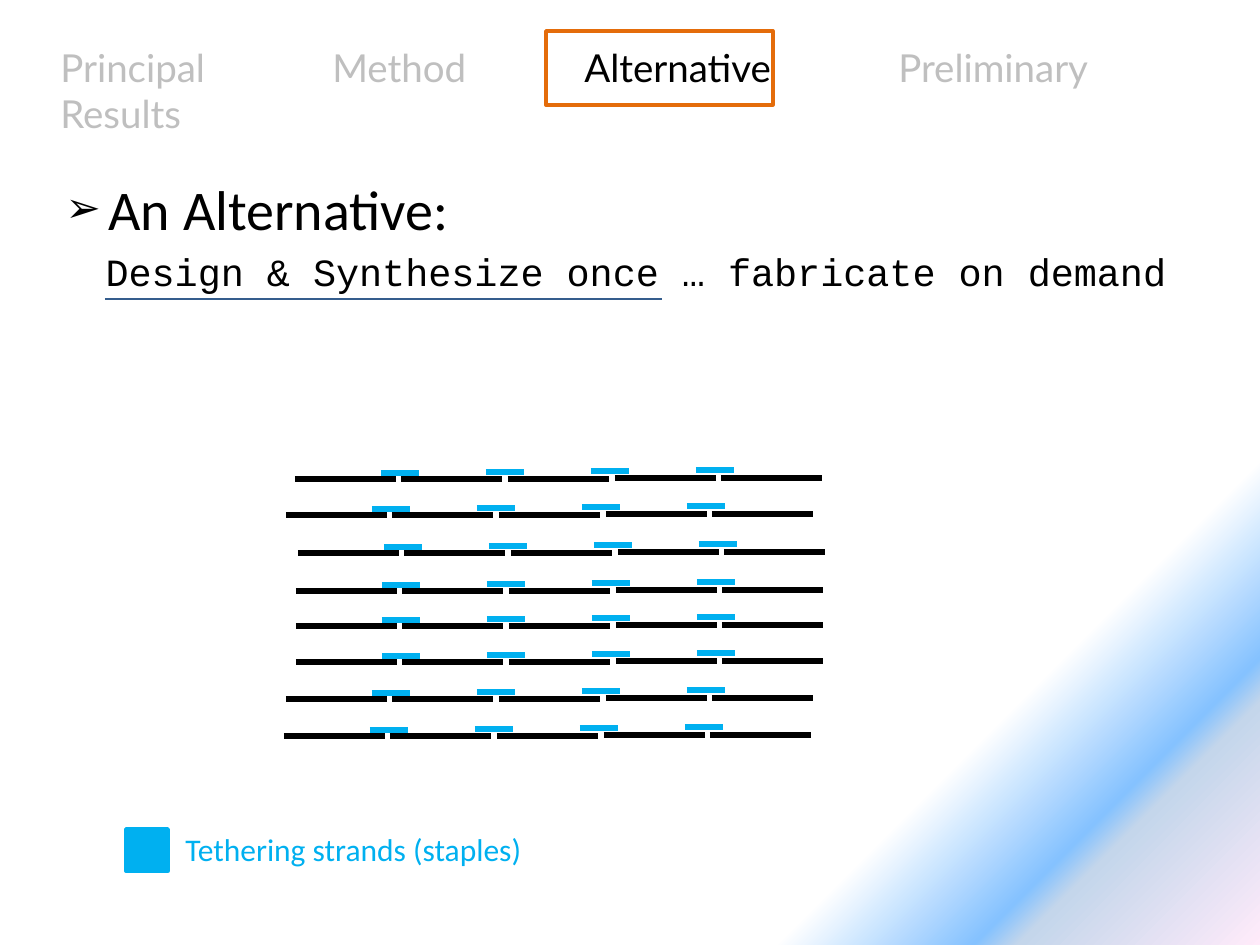
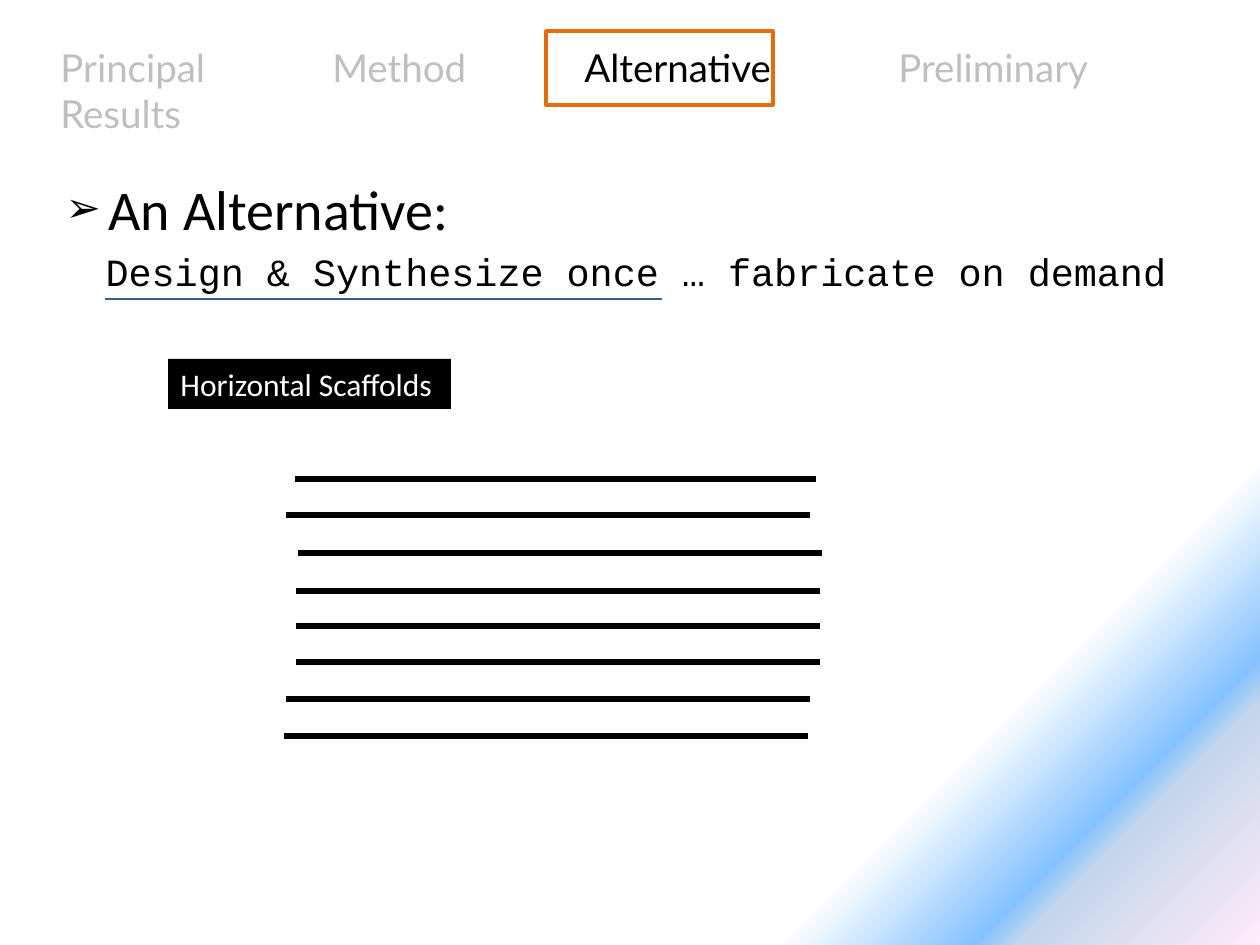
import pptx
import pptx.dml.color
import pptx.enum.shapes
import pptx.enum.text
import pptx.oxml.ns
import pptx.util
from dataclasses import dataclass
from lxml import etree

EMU_PER_PX = 914400 // 126
ANCHOR = pptx.enum.text.MSO_ANCHOR
ALIGN = pptx.enum.text.PP_ALIGN


@dataclass(frozen=True)
class Theme:
    ink: str = "000000"
    paper: str = "FFFFFF"
    muted: str = "BFBFBF"
    staple: str = "00B0F0"
    marker: str = "E46C0A"
    rule: str = "355D8D"
    sweep: tuple = ((78, "FFFFFF"), (87, "85C2FF"), (89, "C4D6EB"), (100, "FFEBFA"))
    body_font: str = "Calibri"
    nav_font: str = "Lato"
    code_font: str = "Courier New"
    heading_size: int = 32
    nav_size: int = 22
    label_size: int = 18
    strand_weight: float = 3
    outline_weight: float = 2
    rule_weight: float = 0.75


THEME = Theme()

NAV_BOX = (48, 38, 1163, 59)
HEADING_BOX = (53, 168, 426, 81)
MOTTO_BOX = (93, 242, 1103, 59)
LEGEND_BOX = (126, 824, 413, 50)
SCAFFOLD_LABEL_BOX = (168, 359, 283, 50)
LATTICE_ORIGIN = (284, 479)

# Each lattice row: indent and drop from the lattice origin
ROWS = [(11, 0), (2, 36), (14, 74), (12, 112), (12, 147), (12, 183), (2, 220), (0, 257)]
# Start and length of the pieces along one scaffold
SCAFFOLD_PIECES = [(0, 101), (101, 113), (206, 113), (312, 113), (423, 101)]
TOP_SCAFFOLD_PIECES = [(0, 113), (108, 113), (214, 113), (320, 201)]

NAV_ITEMS = ["Principal", "Method", "Alternative", "Preliminary Results"]
NAV_TABS = [272, 524, 838]


def px(length):
    return pptx.util.Emu(length * EMU_PER_PX)


def rgb(colour):
    return pptx.dml.color.RGBColor.from_string(colour)


def a_tag(parent, tag, **attributes):
    return etree.SubElement(parent, pptx.oxml.ns.qn("a:" + tag), attributes)


def style_run(run, size, font, colour):
    run.font.size = pptx.util.Pt(size)
    run.font.name = font
    run.font.color.rgb = rgb(colour)


def place(shape, box):
    shape.left, shape.top, shape.width, shape.height = map(px, box)


def write(shape, text, size, font, colour, wrap=False, anchor=ANCHOR.TOP):
    """Set one left-aligned paragraph and return it."""
    frame = shape.text_frame
    frame.text = text
    frame.word_wrap = wrap
    frame.auto_size = pptx.enum.text.MSO_AUTO_SIZE.NONE
    frame.vertical_anchor = anchor
    paragraph = frame.paragraphs[0]
    paragraph.alignment = ALIGN.LEFT
    paragraph.space_before = pptx.util.Pt(0)
    for run in paragraph.runs:
        style_run(run, size, font, colour)
    return paragraph


def add_line(shapes, start, end, colour, weight):
    line = shapes.add_connector(
        pptx.enum.shapes.MSO_CONNECTOR.STRAIGHT, *map(px, (*start, *end)))
    line.line.color.rgb = rgb(colour)
    line.line.width = pptx.util.Pt(weight)
    a_tag(line._element.spPr, "effectLst")


def add_rect(shapes, box, fill=None, outline=None):
    rect = shapes.add_shape(pptx.enum.shapes.MSO_SHAPE.RECTANGLE, *map(px, box))
    rect.shadow.inherit = False
    if fill:
        rect.fill.solid()
        rect.fill.fore_color.rgb = rgb(fill)
    else:
        rect.fill.background()
    if outline:
        rect.line.color.rgb = rgb(outline)
        rect.line.width = pptx.util.Pt(THEME.outline_weight)
    else:
        rect.line.fill.background()
    return rect


def paint_master(master):
    """Give every slide the diagonal colour sweep."""
    fill = master.background.fill
    fill.gradient()
    fill.gradient_angle = 315
    stops = master._element.find(".//" + pptx.oxml.ns.qn("p:bg")).find(
        ".//" + pptx.oxml.ns.qn("a:gsLst"))
    for stop in list(stops):
        stops.remove(stop)
    for percent, colour in THEME.sweep:
        a_tag(a_tag(stops, "gs", pos=str(percent * 1000)), "srgbClr", val=colour)


def add_nav(slide, box, current):
    left, top, width, height = box
    nav = slide.shapes.add_textbox(*map(px, box))
    paragraph = write(nav, "", THEME.nav_size, THEME.nav_font, THEME.muted, wrap=True)
    tabs = a_tag(paragraph._p.get_or_add_pPr(), "tabLst")
    for tab in NAV_TABS:
        a_tag(tabs, "tab", pos=str(px(tab)), algn="l")
    for index, item in enumerate(NAV_ITEMS):
        run = paragraph.add_run()
        run.text = ("\t" if index else "") + item
        style_run(run, THEME.nav_size, THEME.nav_font,
                  THEME.ink if item == current else THEME.muted)
    add_rect(slide.shapes, (left + 498, top - 7, 227, 74), outline=THEME.marker)


def add_heading(slide, box):
    heading = slide.shapes.title
    place(heading, box)
    paragraph = write(heading, "An Alternative:", THEME.heading_size,
                      THEME.body_font, THEME.ink)
    properties = paragraph._p.get_or_add_pPr()
    properties.set("marL", str(px(43)))
    properties.set("indent", str(-px(43)))
    a_tag(properties, "buSzPct", val="75000")
    a_tag(properties, "buFont", typeface="Arial")
    a_tag(properties, "buChar", char="➢")


def add_motto(slide, box):
    left, top, width, height = box
    motto = slide.placeholders[1]
    place(motto, box)
    paragraph = write(motto, "Design & Synthesize once … fabricate on demand",
                      THEME.nav_size, THEME.code_font, THEME.ink)
    properties = paragraph._p.get_or_add_pPr()
    properties.set("marL", "0")
    properties.set("indent", "0")
    a_tag(properties, "buNone")
    add_line(slide.shapes, (left + 12, top + 57), (left + 569, top + 57),
             THEME.rule, THEME.rule_weight)


def add_strand(shapes, x, y, length, colour=THEME.ink):
    add_line(shapes, (x, y), (x + length, y), colour, THEME.strand_weight)


def add_stapled_strands(slide, origin):
    """Rows of five short strands, with a staple bridging each gap."""
    left, top = origin
    strands = slide.shapes.add_group_shape().shapes
    staples = slide.shapes.add_group_shape().shapes
    for indent, drop in ROWS:
        x, y = left + indent, top + drop
        for column in range(5):
            add_strand(strands, x + round(106.5 * column), y - column // 3, 101)
        for gap in range(4):
            add_strand(staples, x + 86 + 105 * gap, y - 6 - gap, 38, THEME.staple)


def add_scaffolds(slide, origin):
    left, top = origin
    for row, (indent, drop) in enumerate(ROWS):
        for start, length in SCAFFOLD_PIECES if row else TOP_SCAFFOLD_PIECES:
            add_strand(slide.shapes, left + indent + start, top + drop, length)


def add_legend(slide, box):
    left, top, width, height = box
    add_rect(slide.shapes, (left, top + 5, 42, 42), THEME.staple, THEME.staple)
    caption = slide.shapes.add_textbox(*map(px, (left + 47, top, width - 47, height)))
    write(caption, "Tethering strands (staples)", THEME.label_size,
          THEME.body_font, THEME.staple)


def add_scaffold_label(slide, box):
    label = add_rect(slide.shapes, box, THEME.ink)
    write(label, "Horizontal Scaffolds", THEME.label_size, THEME.body_font,
          THEME.paper, wrap=True)


def add_alternative_slide(deck):
    slide = deck.slides.add_slide(deck.slide_layouts[1])
    add_heading(slide, HEADING_BOX)
    add_nav(slide, NAV_BOX, "Alternative")
    add_motto(slide, MOTTO_BOX)
    return slide


def main():
    deck = pptx.Presentation()
    deck.slide_width, deck.slide_height = pptx.util.Inches(10), pptx.util.Inches(7.5)
    paint_master(deck.slide_master)

    stapled = add_alternative_slide(deck)
    add_stapled_strands(stapled, LATTICE_ORIGIN)
    add_legend(stapled, LEGEND_BOX)

    scaffolds = add_alternative_slide(deck)
    add_scaffolds(scaffolds, LATTICE_ORIGIN)
    add_scaffold_label(scaffolds, SCAFFOLD_LABEL_BOX)

    deck.save("out.pptx")


if __name__ == "__main__":
    main()
